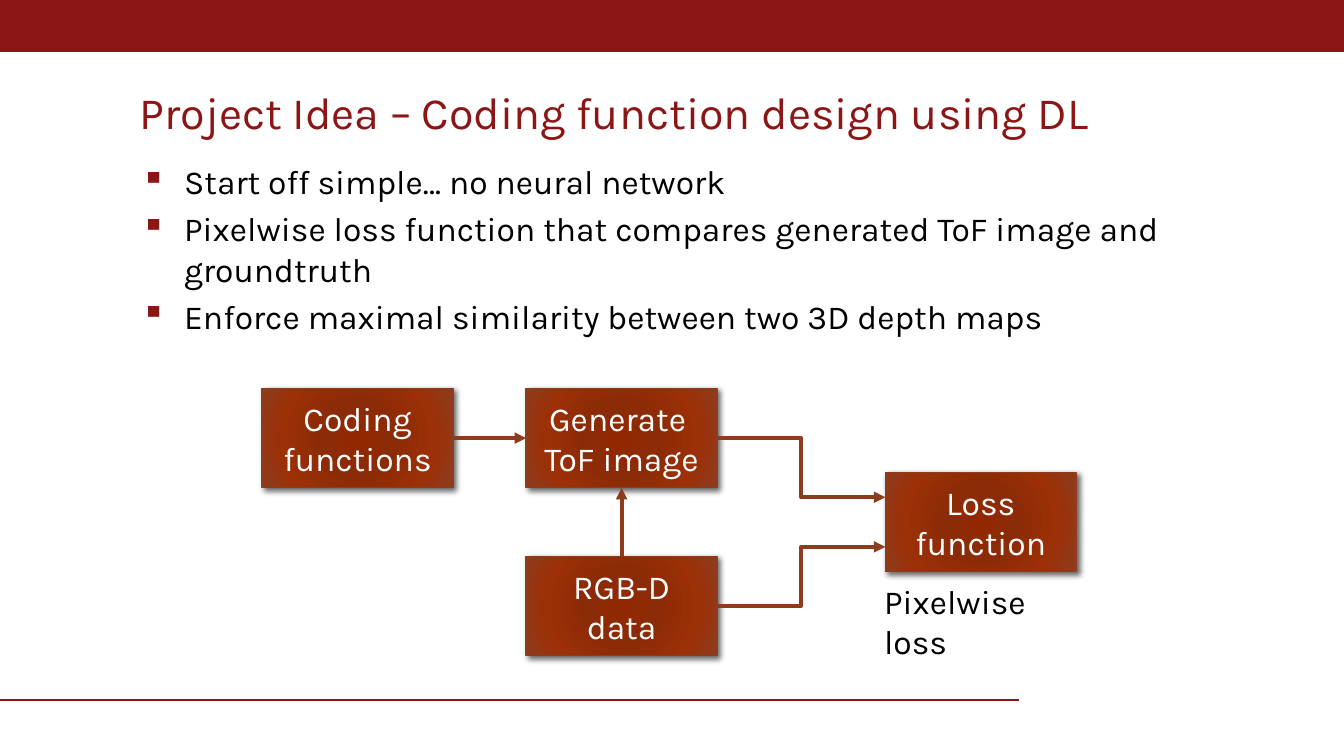
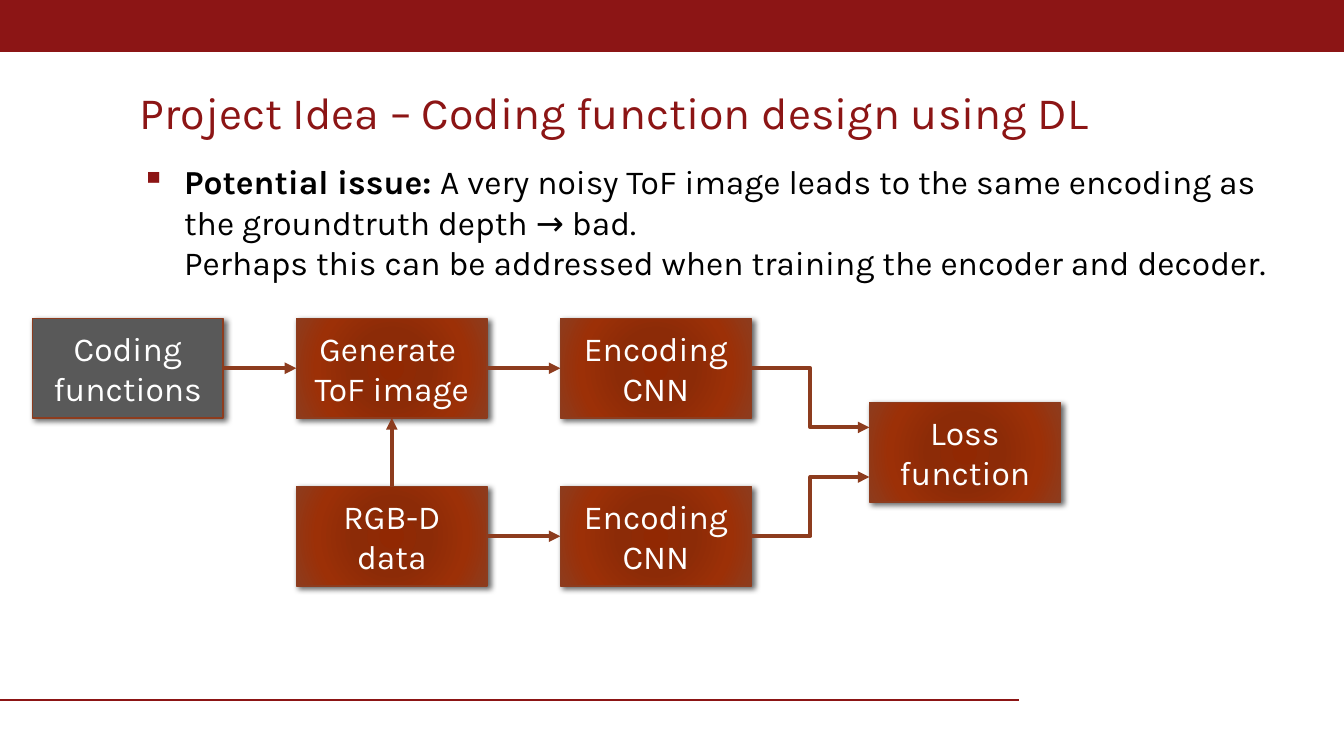
from dataclasses import dataclass

from lxml import etree
from pptx import Presentation
from pptx.dml.color import RGBColor
from pptx.enum.shapes import MSO_CONNECTOR as Link, MSO_SHAPE as Shape
from pptx.enum.text import MSO_ANCHOR as Anchor, MSO_AUTO_SIZE as AutoSize, PP_ALIGN as Align
from pptx.oxml import parse_xml
from pptx.oxml.ns import nsdecls, qn
from pptx.util import Inches, Pt

COLUMNS, ROWS = 100, 56.25
TOP, LEFT, BOTTOM, RIGHT = range(4)
TITLE = "Project Idea – Coding function design using DL"


@dataclass(frozen=True)
class Theme:
    font: str = "Karla"
    title_size: float = 24
    text_size: float = 18
    cardinal: str = "8C1515"
    rust: str = "8D3C1E"
    gray: str = "595959"
    ink: str = "000000"
    paper: str = "FFFFFF"
    glow: tuple = ((0, "912802"), (34, "8C2B07"), (70, "9C3007"), (100, "8D3C1E"))
    outline: float = 0.75
    rule: float = 1.1
    arrow: float = 2.08


class Slides:
    box_width, box_height = 14.2, 7.4
    column_pitch, row_pitch = 19.65, 12.5

    def __init__(self, theme):
        self.theme = theme
        self.deck = Presentation()
        self.deck.slide_width, self.deck.slide_height = Inches(10), Inches(5.625)
        self.page = None
        self.origin = (0, 0)

    def x(self, columns):
        return round(self.deck.slide_width * columns / COLUMNS)

    def y(self, rows):
        return round(self.deck.slide_height * rows / ROWS)

    def area(self, left, top, width, height):
        return self.x(left), self.y(top), self.x(width), self.y(height)

    def start(self, title, flow_origin):
        self.page = self.deck.slides.add_slide(self.deck.slide_layouts[6])
        self.origin = flow_origin
        self.band()
        self.line(Link.STRAIGHT, (0, self.y(52.1)), (self.x(75.8), self.y(52.1)),
                  self.theme.cardinal, self.theme.rule)
        self.title(title)

    def band(self):
        band = self.page.shapes.add_shape(Shape.RECTANGLE, *self.area(0, 0, COLUMNS, 3.8))
        band.shadow.inherit = False
        self.paint(band, self.theme.cardinal, self.theme.cardinal)

    def paint(self, shape, fill, outline):
        shape.fill.solid()
        shape.fill.fore_color.rgb = RGBColor.from_string(fill)
        shape.line.color.rgb = RGBColor.from_string(outline)
        shape.line.width = Pt(self.theme.outline)

    def style(self, para, color, size=None):
        para.font.name = self.theme.font
        para.font.size = Pt(size or self.theme.text_size)
        para.font.color.rgb = RGBColor.from_string(color)

    def text_frame(self, *area):
        frame = self.page.shapes.add_textbox(*self.area(*area)).text_frame
        frame.word_wrap = True
        return frame

    def title(self, text):
        frame = self.text_frame(10.4, 5.5, 84.3, 5.3)
        frame.margin_left = 0
        frame.vertical_anchor = Anchor.BOTTOM
        frame.text = text
        para = frame.paragraphs[0]
        para.line_spacing = 0.85
        self.style(para, self.theme.cardinal, self.theme.title_size)

    def bullets(self, *items):
        frame = self.text_frame(10.5, 11.5, 84.2, 37.3)
        frame.margin_left = frame.margin_right = 0
        for index, (lead, text) in enumerate(items):
            para = frame.add_paragraph() if index else frame.paragraphs[0]
            if lead:
                span = para.add_run()
                span.text = lead
                span.font.bold = True
            for number, part in enumerate(text.split("\n")):
                if number:
                    para.add_line_break()
                para.add_run().text = part
            para.space_before = Pt(3.6)
            self.bullet(para)
            self.style(para, self.theme.ink)

    def bullet(self, para):
        props = para._p.get_or_add_pPr()
        props.set("marL", str(Inches(0.32)))
        props.set("indent", str(-Inches(0.32)))
        color = etree.SubElement(props, qn("a:buClr"))
        etree.SubElement(color, qn("a:srgbClr"), val=self.theme.cardinal)
        etree.SubElement(props, qn("a:buChar"), char="▪")

    def box(self, text, column, row, fill=None):
        left, top = self.origin
        box = self.page.shapes.add_shape(Shape.RECTANGLE, *self.area(
            left + column * self.column_pitch, top + row * self.row_pitch,
            self.box_width, self.box_height))
        self.paint(box, fill or self.theme.rust, self.theme.rust)
        if not fill:
            self.glow(box)
        self.cast_shadow(box)
        frame = box.text_frame
        frame.word_wrap = True
        frame.vertical_anchor = Anchor.MIDDLE
        frame.text = text
        for para in frame.paragraphs:
            para.alignment = Align.CENTER
            self.style(para, self.theme.paper)
        return box

    def glow(self, box):
        stops = "".join(f'<a:gs pos="{share * 1000}"><a:srgbClr val="{color}"/></a:gs>'
                        for share, color in self.theme.glow)
        props = box._element.spPr
        props.replace(props.find(qn("a:solidFill")), parse_xml(
            f'<a:gradFill {nsdecls("a")} rotWithShape="1"><a:gsLst>{stops}</a:gsLst>'
            '<a:path path="circle"><a:fillToRect l="100000" t="100000" r="100000" b="100000"/>'
            '</a:path></a:gradFill>'))

    def cast_shadow(self, box):
        box.shadow.inherit = False
        box._element.spPr.find(qn("a:effectLst")).append(parse_xml(
            f'<a:outerShdw {nsdecls("a")} blurRad="{Pt(3)}" dist="{Pt(2)}" dir="{45 * 60000}"'
            f' rotWithShape="0"><a:srgbClr val="{self.theme.ink}"><a:alpha val="60000"/>'
            '</a:srgbClr></a:outerShdw>'))

    def line(self, kind, start, end, color, width):
        line = self.page.shapes.add_connector(kind, *start, *end)
        line.line.color.rgb = RGBColor.from_string(color)
        line.line.width = Pt(width)
        etree.SubElement(line._element.spPr, qn("a:effectLst"))
        return line

    def arrow(self, kind, start, end):
        arrow = self.line(kind, start, end, self.theme.rust, self.theme.arrow)
        etree.SubElement(arrow.line._get_or_add_ln(), qn("a:tailEnd"), type="triangle")
        return arrow

    def straight(self, source, target, exit_site=RIGHT, entry_site=LEFT):
        arrow = self.arrow(Link.STRAIGHT, (source.left, source.top), (target.left, target.top))
        arrow.begin_connect(source, exit_site)
        arrow.end_connect(target, entry_site)

    def elbow(self, source, target, share):
        start = source.left + source.width, source.top + source.height // 2
        end = target.left, target.top + round(target.height * share)
        self.arrow(Link.ELBOW, start, end)

    def merge(self, upper, lower, target):
        self.elbow(upper, target, 0.25)
        self.elbow(lower, target, 0.75)

    def label(self, text, *area):
        frame = self.text_frame(*area)
        frame.auto_size = AutoSize.SHAPE_TO_FIT_TEXT
        frame.text = text
        self.style(frame.paragraphs[0], self.theme.ink)

    def sources(self, column, coding_fill=None):
        coding = self.box("Coding functions", column, 0, coding_fill)
        image = self.box("Generate \nToF image", column + 1, 0)
        data = self.box("RGB-D data", column + 1, 1)
        self.straight(coding, image)
        self.straight(data, image, TOP, BOTTOM)
        return image, data


def main():
    slides = Slides(Theme())

    slides.start(TITLE, flow_origin=(19.5, 28.9))
    slides.bullets(
        ("", "Start off simple… no neural network"),
        ("", "Pixelwise loss function that compares generated ToF image and groundtruth"),
        ("", "Enforce maximal similarity between two 3D depth maps"))
    image, data = slides.sources(0)
    loss = slides.box("Loss function", 2.36, 0.5)
    slides.merge(image, data, loss)
    slides.label("Pixelwise loss", 64.8, 42.7, 16.4, 4)

    slides.start(TITLE, flow_origin=(2.4, 23.7))
    slides.bullets((
        "Potential issue: ",
        "A very noisy ToF image leads to the same encoding as the groundtruth depth → bad.\n"
        "Perhaps this can be addressed when training the encoder and decoder."))
    inputs = slides.sources(0, slides.theme.gray)
    encoders = [slides.box("Encoding\nCNN", 2, row) for row in range(2)]
    for source, encoder in zip(inputs, encoders):
        slides.straight(source, encoder)
    loss = slides.box("Loss function", 3.17, 0.5)
    slides.merge(*encoders, loss)

    slides.deck.save("out.pptx")


if __name__ == "__main__":
    main()
